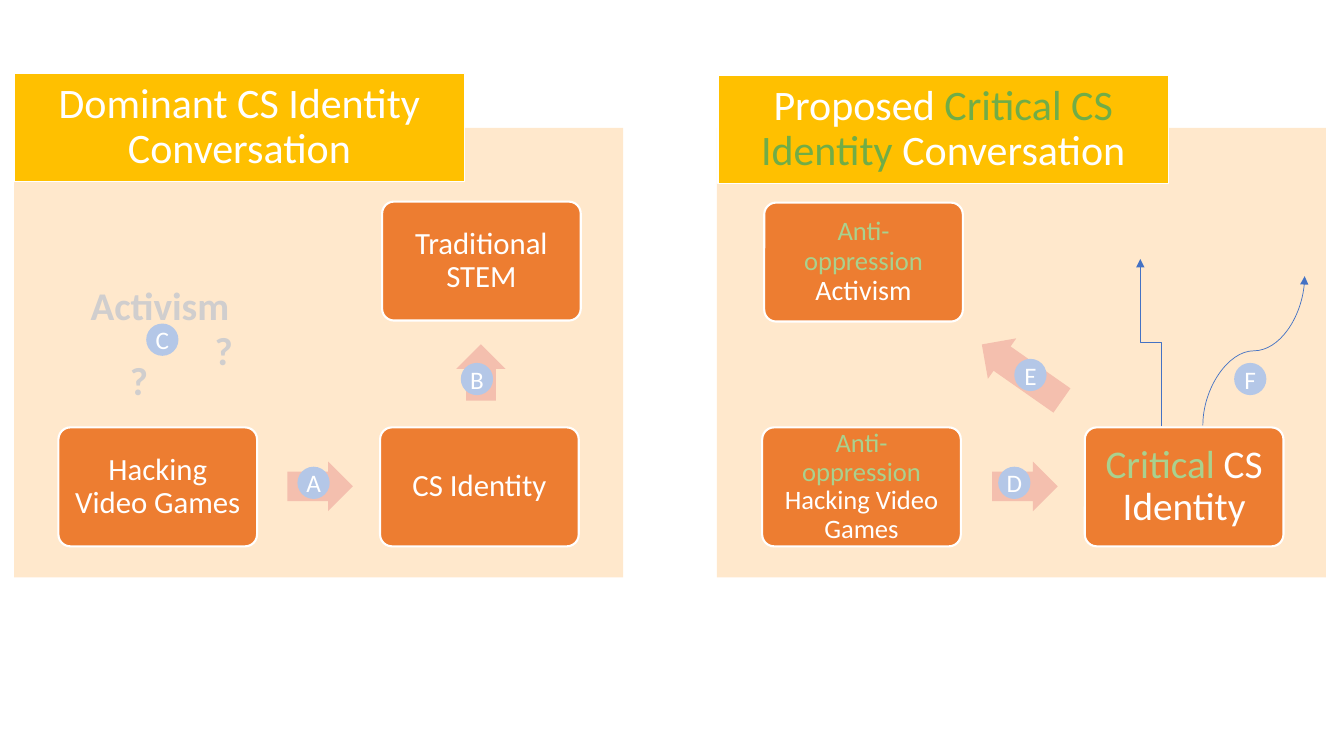
from lxml.etree import SubElement
from pptx import Presentation
from pptx.dml.color import RGBColor
from pptx.enum.shapes import MSO_CONNECTOR as LINK, MSO_SHAPE as SHAPE
from pptx.enum.text import MSO_ANCHOR as ANCHOR, PP_ALIGN as ALIGN
from pptx.oxml.ns import qn
from pptx.util import Emu, Pt

PX = 9144  # 100 px to the inch
FONT = "Calibri"

WHITE = RGBColor(0xFF, 0xFF, 0xFF)
CREAM = RGBColor(0xFF, 0xE8, 0xCC)
GOLD = RGBColor(0xFF, 0xC0, 0x00)
ORANGE = RGBColor(0xED, 0x7D, 0x31)
PINK = RGBColor(0xF4, 0xBF, 0xAE)
GREEN = RGBColor(0x70, 0xAD, 0x47)
LIGHT_GREEN = RGBColor(0xA9, 0xD1, 0x8E)
GREY = RGBColor(0xD0, 0xCE, 0xCE)
BLUE = RGBColor(0x44, 0x72, 0xC4)
LIGHT_BLUE = RGBColor(0xB4, 0xC7, 0xE7)

BOX_W, BOX_H = 197, 118
BADGE = 32


def px(*lengths):
    return [Emu(round(length * PX)) for length in lengths]


def write(frame, runs, size, align=ALIGN.CENTER, bold=False, inset=(0, 0),
          spacing=1.0):
    """Fill a frame with (text, colour) runs; a third item overrides the size."""
    frame.word_wrap = True
    frame.vertical_anchor = ANCHOR.MIDDLE
    across, down = px(*inset)
    frame.margin_left = frame.margin_right = across
    frame.margin_top = frame.margin_bottom = down
    paragraph = frame.paragraphs[0]
    paragraph.alignment = align
    paragraph.line_spacing = spacing
    for text, colour, *own_size in runs:
        run = paragraph.add_run()
        run.text = text
        run.font.name = FONT
        run.font.size = Pt(own_size[0] if own_size else size)
        run.font.bold = bold
        run.font.color.rgb = colour


def add_block(slide, kind, bounds, fill, outline=0):
    block = slide.shapes.add_shape(kind, *px(*bounds))
    block.shadow.inherit = False
    block.fill.solid()
    block.fill.fore_color.rgb = fill
    if outline:
        block.line.color.rgb = WHITE
        block.line.width = Pt(outline)
    else:
        block.line.fill.background()
    return block


def add_panel(slide, left, heading_left, heading_top, heading):
    add_block(slide, SHAPE.RECTANGLE, (left, 127, 604, 446), CREAM)
    banner = add_block(slide, SHAPE.RECTANGLE,
                       (heading_left, heading_top, 447, 107), GOLD, outline=1)
    write(banner.text_frame, heading, 30, inset=(6, 6), spacing=0.9)


def add_box(slide, left, top, runs, size, inset):
    box = add_block(slide, SHAPE.ROUNDED_RECTANGLE,
                    (left, top, BOX_W, BOX_H), ORANGE, outline=1.5)
    box.adjustments[0] = 0.1
    write(box.text_frame, runs, size, inset=(inset, inset), spacing=0.9)


def add_arrow(slide, left, top, width, angle=0):
    arrow = add_block(slide, SHAPE.RIGHT_ARROW, (left, top, width, 49), PINK)
    arrow.adjustments[0] = 0.6
    arrow.adjustments[1] = 0.5
    arrow.rotation = angle


def add_rising_link(slide, kind, start, end):
    """Join two points so that the line leaves and arrives vertically."""
    mid_x, mid_y = (start[0] + end[0]) / 2, (start[1] + end[1]) / 2
    # Laid on its side first, then turned by 270 degrees.
    flat = [(mid_x - (y - mid_y), mid_y + (x - mid_x)) for x, y in (start, end)]
    link = slide.shapes.add_connector(kind, *px(*flat[0], *flat[1]))
    link.line.color.rgb = BLUE
    link.line.width = Pt(0.5)
    properties = link.element.spPr
    properties.find(qn("a:xfrm")).set("rot", str(270 * 60000))
    SubElement(properties.find(qn("a:ln")), qn("a:tailEnd"), type="triangle")
    SubElement(properties, qn("a:effectLst"))


def add_faded_word(slide, left, top, width, word):
    label = slide.shapes.add_textbox(*px(left, top, width, 57))
    write(label.text_frame, [(word, GREY)], 28, align=ALIGN.LEFT, bold=True,
          inset=(10, 5))


def add_badge(slide, letter, left, top):
    badge = add_block(slide, SHAPE.OVAL, (left, top, BADGE, BADGE), LIGHT_BLUE)
    write(badge.text_frame, [(letter, WHITE)], 18)


def main():
    deck = Presentation()
    deck.slide_width, deck.slide_height = px(1333, 750)
    slide = deck.slides.add_slide(deck.slide_layouts[6])

    add_panel(slide, 14, 14, 73, [("Dominant CS Identity Conversation", WHITE)])
    add_panel(slide, 711, 712, 75, [("Proposed ", WHITE),
                                    ("Critical CS Identity ", GREEN),
                                    ("Conversation", WHITE)])

    add_box(slide, 58, 424, [("Hacking Video Games", WHITE)], 22, 12)
    add_box(slide, 377, 424, [("CS Identity", WHITE)], 22, 12)
    add_box(slide, 379, 200, [("Traditional STEM", WHITE)], 22, 12)
    add_box(slide, 756, 424, [("Anti-oppression", LIGHT_GREEN),
                              (" Hacking Video Games", WHITE)], 19, 11)
    add_box(slide, 1076, 424, [("Critical", LIGHT_GREEN),
                               (" CS Identity", WHITE)], 28, 15)
    add_box(slide, 758, 201, [("Anti-oppression", LIGHT_GREEN),
                              (" Activism", WHITE, 20)], 19, 11)

    add_arrow(slide, 285, 458, 65)
    add_arrow(slide, 449, 345, 56, angle=270)
    add_arrow(slide, 984, 458, 65)
    add_arrow(slide, 965, 345, 97, angle=215)

    add_rising_link(slide, LINK.CURVE, (1193, 422), (1294, 274))
    add_rising_link(slide, LINK.ELBOW, (1152, 423), (1131, 257))

    add_faded_word(slide, 80, 274, 191, "Activism")
    add_faded_word(slide, 203, 319, 42, "?")
    add_faded_word(slide, 119, 348, 42, "?")

    for letter, left, top in (("A", 295, 463), ("B", 457, 360), ("C", 145, 321),
                              ("D", 990, 463), ("E", 1006, 356), ("F", 1224, 360)):
        add_badge(slide, letter, left, top)

    deck.save("out.pptx")


if __name__ == "__main__":
    main()
